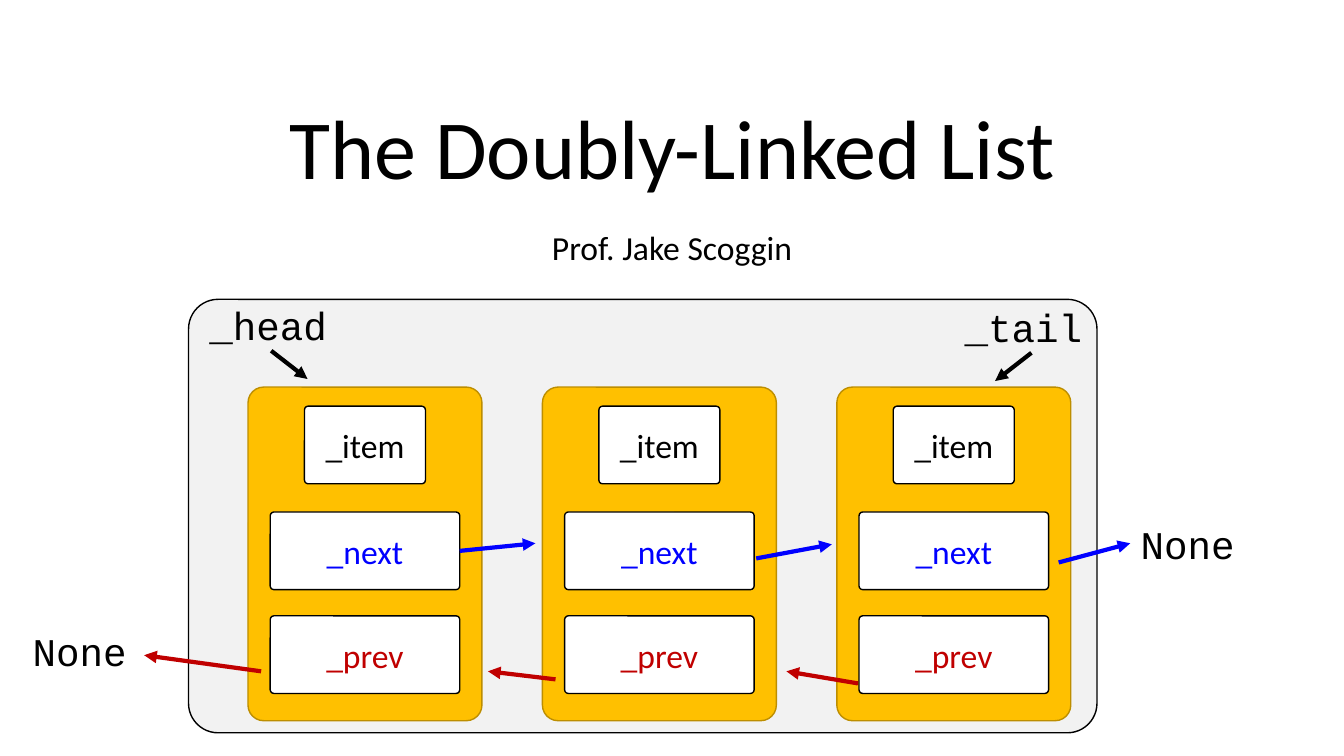
"""Build the title slide with a doubly-linked list diagram."""
import pptx
import pptx.dml.color
import pptx.enum.shapes
import pptx.enum.text
import pptx.oxml
import pptx.oxml.ns
import pptx.util

Inches = pptx.util.Inches
Pt = pptx.util.Pt
RGBColor = pptx.dml.color.RGBColor
Anchor = pptx.enum.text.MSO_ANCHOR
Fit = pptx.enum.text.MSO_AUTO_SIZE

BLACK = RGBColor(0x00, 0x00, 0x00)
WHITE = RGBColor(0xFF, 0xFF, 0xFF)
GRAY = RGBColor(0xF2, 0xF2, 0xF2)
GOLD = RGBColor(0xFF, 0xC0, 0x00)
BROWN = RGBColor(0xBD, 0x8E, 0x00)
BLUE = RGBColor(0x00, 0x00, 0xFF)
RED = RGBColor(0xC0, 0x00, 0x00)

WIDTH, HEIGHT = 13.33, 7.5
HEADINGS = [
    ("The Doubly-Linked List", 0.48, 1.68, 60, 0.3),
    ("Prof. Jake Scoggin", 2.06, 0.78, 24, 0.05),
]
FRAME = (1.87, 2.97, 9.01, 4.3)
COUNT, FIRST, STEP = 3, 2.46, 2.92
NODE_TOP, NODE_W, NODE_H = 3.84, 2.32, 3.31
FIELD_H = 0.77
FIELDS = [
    ("_item", 4.03, 1.2, BLACK),
    ("_next", 5.08, 1.88, BLUE),
    ("_prev", 6.11, 1.88, RED),
]
LABELS = [
    ("_head", 1.97, 2.94, 1.38),
    ("_tail", 9.46, 2.96, 1.38),
    ("None", 11.21, 5.11, 1.14),
    ("None", 0.22, 6.17, 1.14),
]
ARROWS = [
    (BLACK, [(2.69, 3.48, 3.05, 3.76), (10.23, 3.5, 9.87, 3.78)]),
    (BLUE, [(4.58, 5.46, 5.31, 5.39), (7.5, 5.54, 8.25, 5.4),
            (10.5, 5.58, 11.21, 5.39)]),
    (RED, [(2.59, 6.66, 1.43, 6.5), (5.51, 6.74, 4.84, 6.66),
           (8.51, 6.78, 7.8, 6.66)]),
]


def write(shape, text, size, color, font="Calibri"):
    para = shape.text_frame.paragraphs[0]
    para.alignment = pptx.enum.text.PP_ALIGN.CENTER
    run = para.add_run()
    run.text = text
    run.font.name = font
    run.font.size = Pt(size)
    run.font.color.rgb = color


def add_text(slide, x, y, w, h):
    return slide.shapes.add_textbox(Inches(x), Inches(y), Inches(w), Inches(h))


def add_box(slide, x, y, w, h, fill, edge, curve):
    kind = pptx.enum.shapes.MSO_SHAPE.ROUNDED_RECTANGLE
    box = slide.shapes.add_shape(kind, Inches(x), Inches(y), Inches(w), Inches(h))
    box.adjustments[0] = curve
    box.shadow.inherit = False
    box.fill.solid()
    box.fill.fore_color.rgb = fill
    box.line.color.rgb = edge
    box.line.width = Pt(1)
    return box


def add_arrow(slide, ends, color):
    kind = pptx.enum.shapes.MSO_CONNECTOR.STRAIGHT
    arrow = slide.shapes.add_connector(kind, *map(Inches, ends))
    arrow.line.color.rgb = color
    arrow.line.width = Pt(3)
    space = pptx.oxml.ns.nsdecls("a")
    tip = pptx.oxml.parse_xml(f'<a:tailEnd {space} type="triangle"/>')
    arrow.line._get_or_add_ln().append(tip)
    arrow._element.spPr.append(pptx.oxml.parse_xml(f"<a:effectLst {space}/>"))
    return arrow


def add_node(slide, x):
    add_box(slide, x, NODE_TOP, NODE_W, NODE_H, GOLD, BROWN, 0.067)
    boxes = {}
    for name, top, w, color in FIELDS:
        left = x + (NODE_W - w) / 2
        box = add_box(slide, left, top, w, FIELD_H, WHITE, BLACK, 0.048)
        box.text_frame.vertical_anchor = Anchor.MIDDLE
        write(box, name, 24, color)
        boxes[name] = box
    return boxes


def main():
    deck = pptx.Presentation()
    deck.slide_width, deck.slide_height = Inches(WIDTH), Inches(HEIGHT)
    slide = deck.slides.add_slide(deck.slide_layouts[6])

    for text, top, h, size, inset in HEADINGS:
        box = add_text(slide, 0, top, WIDTH, h)
        frame = box.text_frame
        frame.word_wrap = True
        frame.vertical_anchor = Anchor.MIDDLE
        frame.margin_top = Inches(inset)
        write(box, text, size, BLACK)

    add_box(slide, *FRAME, GRAY, BLACK, 0.068)
    nodes = [add_node(slide, FIRST + i * STEP) for i in range(COUNT)]

    for text, x, y, w in LABELS:
        box = add_text(slide, x, y, w, 0.57)
        box.text_frame.word_wrap = False
        box.text_frame.auto_size = Fit.SHAPE_TO_FIT_TEXT
        write(box, text, 28, BLACK, "Courier New")

    links = {color: [add_arrow(slide, ends, color) for ends in group]
             for color, group in ARROWS}
    links[BLUE][0].begin_connect(nodes[0]["_next"], 3)

    deck.save("out.pptx")


if __name__ == "__main__":
    main()
